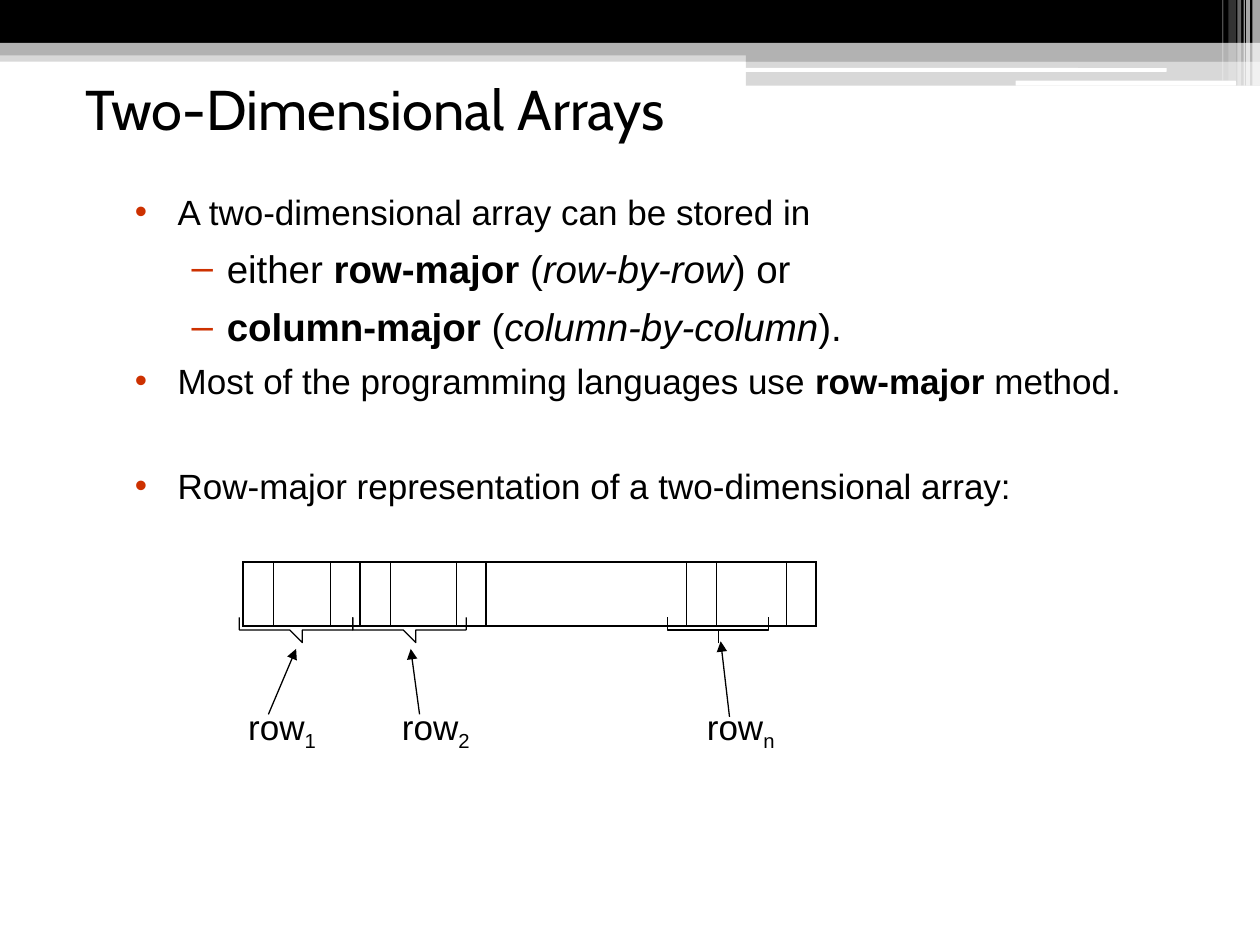
from dataclasses import dataclass
from typing import NamedTuple

from lxml.etree import SubElement as Sub
from pptx import Presentation
from pptx.dml.color import RGBColor as Rgb
from pptx.enum.shapes import MSO_CONNECTOR as Link, MSO_SHAPE as Form
from pptx.enum.text import MSO_ANCHOR as Anchor, MSO_AUTO_SIZE as Fit, PP_ALIGN as Align
from pptx.oxml.ns import qn
from pptx.util import Emu, Inches, Pt


@dataclass(frozen=True)
class Theme:
    ink: str = "000000"
    gray: str = "B2B2B2"
    pale: str = "FFFFFF"
    mark: str = "CD3100"
    head: str = "Cabin"
    body: str = "Arial"
    big: float = 32
    mid: float = 22
    norm: float = 20
    thick: float = 1.08
    thin: float = 0.45
    line: float = 0.75


class Box(NamedTuple):
    col: float
    row: float
    wide: float
    high: float


class Bar(NamedTuple):
    box: Box
    color: str
    alpha: int = 100
    form: Form = Form.RECTANGLE


class Run(NamedTuple):
    text: str
    bold: bool = False
    slant: bool = False
    base: int = 0


class Item(NamedTuple):
    runs: list[Run]
    level: int = 0
    gap: float = 0


class Row(NamedTuple):
    name: str
    left: float
    brace: float
    tail: tuple[float, float]
    tip: tuple[float, float]


LOOK = Theme()
UNIT = Inches(0.1)

BARS = [
    Bar(Box(0, 4, 100, 0.9), LOOK.gray, 50),
    Bar(Box(0, 0, 100, 3.4), LOOK.ink),
    Bar(Box(0, 3.4, 100, 1), LOOK.gray),
    Bar(Box(59.2, 3.9, 40.8, 1), LOOK.gray),
    Bar(Box(59.2, 4.8, 40.8, 2), LOOK.gray, 50),
    Bar(Box(59.1, 5.4, 33.5, 0.3), LOOK.pale, form=Form.ROUNDED_RECTANGLE),
    Bar(Box(80.6, 6.4, 17.5, 0.4), LOOK.pale, form=Form.ROUNDED_RECTANGLE),
    Bar(Box(99.4, 0, 0.6, 6.8), LOOK.pale, 65),
    Bar(Box(98.9, 0, 0.3, 6.8), LOOK.pale, 65),
    Bar(Box(98.7, 0, 0.1, 6.8), LOOK.pale, 60),
    Bar(Box(98.2, 0, 0.3, 6.8), LOOK.pale, 40),
    Bar(Box(97.5, 0, 0.6, 6.4), LOOK.pale, 20),
    Bar(Box(97, 0, 0.1, 6.4), LOOK.pale, 30),
]

ITEMS = [
    Item([Run("A two-dimensional array can be stored in")]),
    Item([Run("either "), Run("row-major ", bold=True), Run("("),
          Run("row-by-row", slant=True), Run(") or")], 1, 7),
    Item([Run("column-major ", bold=True), Run("("),
          Run("column-by-column", slant=True), Run(").")], 1, 7),
    Item([Run("Most of the programming languages use "),
          Run("row-major ", bold=True), Run("method.")], 0, 6),
    Item([Run("Row-major representation of a two-dimensional array:")], 0, 36),
]

ROWS = [
    Row("1", 19.7, 19.3, (21.3, 56.7), (23.5, 51.5)),
    Row("2", 31.9, 28.4, (33.3, 56.7), (32.6, 51.5)),
    Row("n", 56.1, 52.8, (57.9, 56.9), (57.2, 50.9)),
]

EDGE = 2.4
COLS = [EDGE, 4.5, EDGE, EDGE, 5.2, EDGE, 15.9, EDGE, 5.5, EDGE]
BOLD = {0, 3, 6, 7, 10}
CURVE = [(8.4, 0), (8.3, 0.3), (8, 0.6), (7.7, 0.7), (4.9, 0.7), (4.5, 0.9),
         (4.2, 1.4), (4, 1), (3.7, 0.8), (3.5, 0.7), (0.7, 0.7), (0.2, 0.5),
         (0, 0.2), (0, 0)]


def span(*parts: float) -> list[Emu]:
    return [Emu(round(part * UNIT)) for part in parts]


def place(shape, box: Box) -> None:
    shape.left, shape.top, shape.width, shape.height = span(*box)


def setup(frame, anchor=Anchor.TOP) -> None:
    frame.word_wrap = True
    frame.auto_size = Fit.NONE
    frame.vertical_anchor = anchor
    frame.margin_left = frame.margin_right = 0
    frame.margin_top = frame.margin_bottom = 0


def write(para, run: Run, size: float, face: str) -> None:
    part = para.add_run()
    part.text = run.text
    font = part.font
    font.name, font.size = face, Pt(size)
    font.bold, font.italic = run.bold, run.slant
    font.color.rgb = Rgb.from_string(LOOK.ink)
    if run.base:
        part.font._element.set("baseline", str(run.base * 1000))


def draw_bar(shapes, bar: Bar) -> None:
    shape = shapes.add_shape(bar.form, *span(*bar.box))
    shape.shadow.inherit = False
    shape.fill.solid()
    shape.fill.fore_color.rgb = Rgb.from_string(bar.color)
    shape.line.fill.background()
    if bar.alpha < 100:
        color = next(shape.element.iter(qn("a:srgbClr")))
        Sub(color, qn("a:alpha"), val=str(bar.alpha * 1000))


def add_item(para, item: Item) -> None:
    para.level = item.level
    left, hang = (0.74, -0.28) if item.level else (0.35, -0.34)
    prop = para._p.get_or_add_pPr()
    prop.set("marL", str(Inches(left)))
    prop.set("indent", str(Inches(hang)))
    Sub(Sub(prop, qn("a:buClr")), qn("a:srgbClr"), val=LOOK.mark)
    Sub(prop, qn("a:buChar"), char="–" if item.level else "•")
    para.space_before = Pt(item.gap)
    for run in item.runs:
        write(para, run, LOOK.mid if item.level else LOOK.norm, LOOK.body)


def draw_cells(shapes) -> None:
    box = Box(19.3, 44.6, sum(COLS), 5.1)
    table = shapes.add_table(1, len(COLS), *span(*box)).table
    table.first_row = table.horz_banding = False
    for spot, wide in enumerate(COLS):
        table.columns[spot].width = span(wide)[0]
        cell = table.cell(0, spot)
        prop = cell._tc.get_or_add_tcPr()
        sides = {"L": spot in BOLD, "R": spot + 1 in BOLD, "T": True, "B": True}
        for side, bold in sides.items():
            size = Pt(LOOK.thick if bold else LOOK.thin)
            line = Sub(prop, qn(f"a:ln{side}"), w=str(size))
            Sub(Sub(line, qn("a:solidFill")), qn("a:srgbClr"), val=LOOK.ink)
        cell.fill.background()


def ink_line(shape) -> None:
    shape.line.color.rgb = Rgb.from_string(LOOK.ink)
    shape.line.width = Pt(LOOK.line)


def draw_row(shapes, row: Row) -> None:
    label = shapes.add_textbox(*span(row.left, 56, 5.8, 3.7))
    setup(label.text_frame)
    para = label.text_frame.paragraphs[0]
    for run in (Run("row"), Run(row.name, base=-22)):
        write(para, run, LOOK.norm, LOOK.body)

    first, *rest = [(row.brace + x, 49.3 + y) for x, y in CURVE]
    pen = shapes.build_freeform(*first, scale=UNIT)
    pen.add_line_segments(rest, close=False)
    brace = pen.convert_to_shape()
    brace.shadow.inherit = False
    brace.fill.background()
    ink_line(brace)

    arrow = shapes.add_connector(Link.STRAIGHT, *span(*row.tail, *row.tip))
    ink_line(arrow)
    Sub(arrow.line._get_or_add_ln(), qn("a:tailEnd"), type="triangle")
    Sub(arrow.element.spPr, qn("a:effectLst"))


def main() -> None:
    deck = Presentation()
    deck.slide_width, deck.slide_height = span(100, 75)
    slide = deck.slides.add_slide(deck.slide_layouts[1])
    shapes = slide.shapes
    title, body = slide.placeholders
    for bar in BARS:
        draw_bar(shapes, bar)
    for holder in (title, body):
        shapes.element.append(holder.element)

    place(title, Box(6.8, 5.9, 83.3, 5.4))
    setup(title.text_frame, Anchor.MIDDLE)
    para = title.text_frame.paragraphs[0]
    para.alignment = Align.LEFT
    write(para, Run("Two-Dimensional Arrays"), LOOK.big, LOOK.head)

    place(body, Box(10.6, 15.1, 78.8, 24.5))
    frame = body.text_frame
    setup(frame)
    for spot, item in enumerate(ITEMS):
        add_item(frame.add_paragraph() if spot else frame.paragraphs[0], item)

    draw_cells(shapes)
    for row in ROWS:
        draw_row(shapes, row)
    deck.save("out.pptx")


if __name__ == "__main__":
    main()
